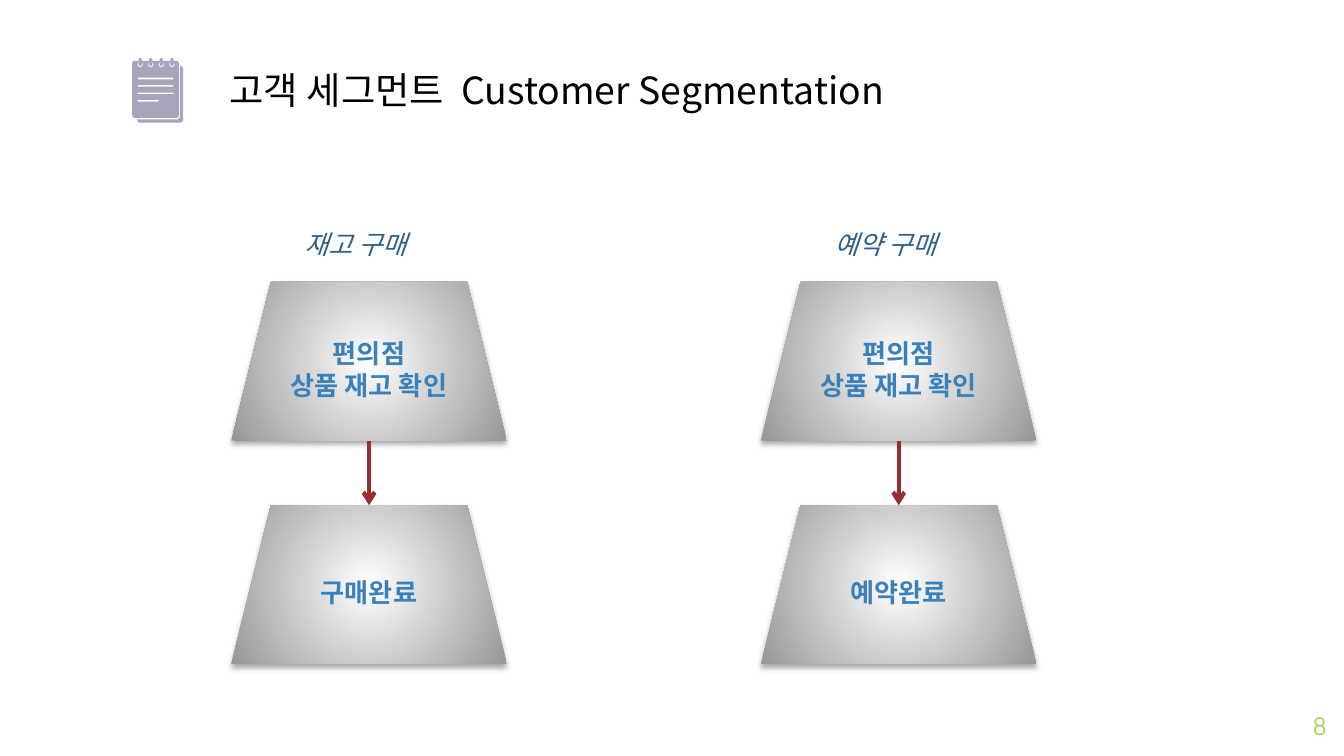
from dataclasses import dataclass
from math import cos, pi, sin

from lxml.etree import SubElement
from pptx import Presentation
from pptx.dml.color import RGBColor
from pptx.enum.shapes import MSO_CONNECTOR, MSO_SHAPE
from pptx.enum.text import MSO_ANCHOR, MSO_AUTO_SIZE, PP_ALIGN
from pptx.oxml import parse_xml
from pptx.oxml.ns import nsdecls, qn
from pptx.util import Cm, Pt

KOREAN_FONT = "Noto Sans CJK KR"
NOTEPAD_COLOR = "A7A4BC"
STEP_TOPS = (5.33, 9.55)
STEP_WIDTH, STEP_HEIGHT = 5.21, 3.0

Point = tuple[float, float]


@dataclass
class Flow:
    left: float
    caption: str
    steps: tuple[list[str], list[str]]


FLOWS = (
    Flow(4.37, "재고 구매", (["편의점", "상품 재고 확인"], ["구매완료"])),
    Flow(14.38, "예약 구매", (["편의점", "상품 재고 확인"], ["예약완료"])),
)


def rgb(color: str) -> RGBColor:
    return RGBColor.from_string(color)


def add_span(para, text: str, *, size: float, color: str, font: str = KOREAN_FONT,
             bold: bool = False, italic: bool = False, spacing: float = 0) -> None:
    span = para.add_run()
    span.text = text
    span.font.size = Pt(size)
    span.font.name = font
    span.font.bold = bold
    span.font.italic = italic
    span.font.color.rgb = rgb(color)
    properties = span.font._element
    SubElement(properties, qn("a:ea")).set("typeface", KOREAN_FONT)
    if spacing:
        properties.set("spc", str(round(spacing * 100)))


def add_text_box(page, left: float, top: float, width: float, height: float):
    box = page.shapes.add_textbox(Cm(left), Cm(top), Cm(width), Cm(height))
    box.text_frame.word_wrap = True
    return box.text_frame


def rounded_outline(left: float, top: float, width: float, height: float,
                    radius: float) -> list[Point]:
    corners = (
        (left + width - radius, top + height - radius),
        (left + radius, top + height - radius),
        (left + radius, top + radius),
        (left + width - radius, top + radius),
    )
    return [
        (x + radius * cos((corner + step / 4) * pi / 2),
         y + radius * sin((corner + step / 4) * pi / 2))
        for corner, (x, y) in enumerate(corners)
        for step in range(5)
    ]


def add_outline(group, contours: list[list[Point]]) -> None:
    scaled = [[(Cm(x), Cm(y)) for x, y in contour] for contour in contours]
    builder = group.shapes.build_freeform(*scaled[0][0])
    builder.add_line_segments(scaled[0][1:], close=True)
    for contour in scaled[1:]:
        builder.move_to(*contour[0])
        builder.add_line_segments(contour[1:], close=True)
    shape = builder.convert_to_shape()
    shape.shadow.inherit = False
    shape.fill.solid()
    shape.fill.fore_color.rgb = rgb(NOTEPAD_COLOR)
    shape.line.fill.background()


def add_notepad(page) -> None:
    group = page.shapes.add_group_shape()
    add_outline(group, [[(3.4, 1.25), (3.4, 2.22), (3.36, 2.26), (2.59, 2.26),
                         (2.61, 2.31), (2.64, 2.32), (3.42, 2.32), (3.46, 2.28),
                         (3.46, 1.29), (3.43, 1.25)]])
    ring_lefts = [2.62 + 0.2 * index for index in range(4)]
    for left in ring_lefts:
        add_outline(group, [rounded_outline(left, 1.1, 0.06, 0.15, 0.03)])
    sheet = rounded_outline(2.5, 1.15, 0.88, 1.08, 0.05)
    holes = [rounded_outline(left - 0.02, 1.17, 0.1, 0.1, 0.05) for left in ring_lefts]
    rules = [rounded_outline(2.6, 1.47 + 0.14 * index, width, 0.03, 0.01)
             for index, width in enumerate((0.68, 0.68, 0.68, 0.4))]
    add_outline(group, [sheet, *holes, *rules])


def add_step(group, left: float, top: float, lines: list[str]):
    shape = group.shapes.add_shape(MSO_SHAPE.TRAPEZOID, Cm(left), Cm(top),
                                   Cm(STEP_WIDTH), Cm(STEP_HEIGHT))
    shape.line.fill.background()
    shape.fill.gradient()
    for stop, color, position in zip(shape.fill.gradient_stops, ("FFFFFF", "979797"), (0, 1)):
        stop.color.rgb = rgb(color)
        stop.position = position
    properties = shape._element.spPr
    linear = properties.find(".//" + qn("a:lin"))
    linear.getparent().replace(linear, parse_xml(
        f'<a:path {nsdecls("a")} path="circle">'
        '<a:fillToRect l="50000" t="50000" r="50000" b="50000"/></a:path>'))
    shape.shadow.inherit = False
    properties.find(qn("a:effectLst")).append(parse_xml(
        f'<a:outerShdw {nsdecls("a")} blurRad="40000" dist="23000" dir="5400000" '
        'rotWithShape="0"><a:srgbClr val="000000"><a:alpha val="35000"/>'
        '</a:srgbClr></a:outerShdw>'))
    frame = shape.text_frame
    frame.word_wrap = True
    frame.vertical_anchor = MSO_ANCHOR.MIDDLE
    for index, line in enumerate(lines):
        para = frame.add_paragraph() if index else frame.paragraphs[0]
        para.alignment = PP_ALIGN.CENTER
        add_span(para, line, size=14, color="3A81BA", font="Arial", bold=True)
    return shape


def add_arrow(group, start, end) -> None:
    arrow = group.shapes.add_connector(MSO_CONNECTOR.STRAIGHT, start.left,
                                       start.top, end.left, end.top)
    arrow.begin_connect(start, 2)
    arrow.end_connect(end, 0)
    arrow.line.color.rgb = rgb("952F30")
    arrow.line.width = Pt(2.25)
    SubElement(arrow.line._get_or_add_ln(), qn("a:tailEnd")).set("type", "arrow")
    SubElement(arrow._element.spPr, qn("a:effectLst"))


def add_flow(page, flow: Flow) -> None:
    group = page.shapes.add_group_shape()
    start, end = [add_step(group, flow.left, top, lines)
                  for top, lines in zip(STEP_TOPS, flow.steps)]
    add_arrow(group, start, end)
    caption = add_text_box(page, flow.left + 1.14, 4.19, 3.51, 0.86)
    caption.auto_size = MSO_AUTO_SIZE.SHAPE_TO_FIT_TEXT
    add_span(caption.paragraphs[0], flow.caption, size=14, color="2B618B", italic=True)


def add_title(page) -> None:
    frame = add_text_box(page, 4.09, 1.14, 15.39, 1.12)
    frame.auto_size = MSO_AUTO_SIZE.SHAPE_TO_FIT_TEXT
    for text, spacing in (("고객 세그먼트", 0), (" ", 4.5), ("Customer Segmentation", 0)):
        add_span(frame.paragraphs[0], text, size=20, color="000000", spacing=spacing)


def add_page_number(page) -> None:
    frame = add_text_box(page, 23.55, 13.18, 1.52, 1.09)
    frame.margin_left = frame.margin_top = frame.margin_right = frame.margin_bottom = Cm(0)
    frame.vertical_anchor = MSO_ANCHOR.MIDDLE
    frame.paragraphs[0].alignment = PP_ALIGN.RIGHT
    add_span(frame.paragraphs[0], "8", size=13, color="A7D86D", font="Manrope")


def main() -> None:
    deck = Presentation()
    deck.slide_width, deck.slide_height = Cm(25.4), Cm(14.29)
    page = deck.slides.add_slide(deck.slide_layouts[6])
    add_page_number(page)
    add_notepad(page)
    add_title(page)
    for flow in FLOWS:
        add_flow(page, flow)
    deck.save("out.pptx")


if __name__ == "__main__":
    main()
